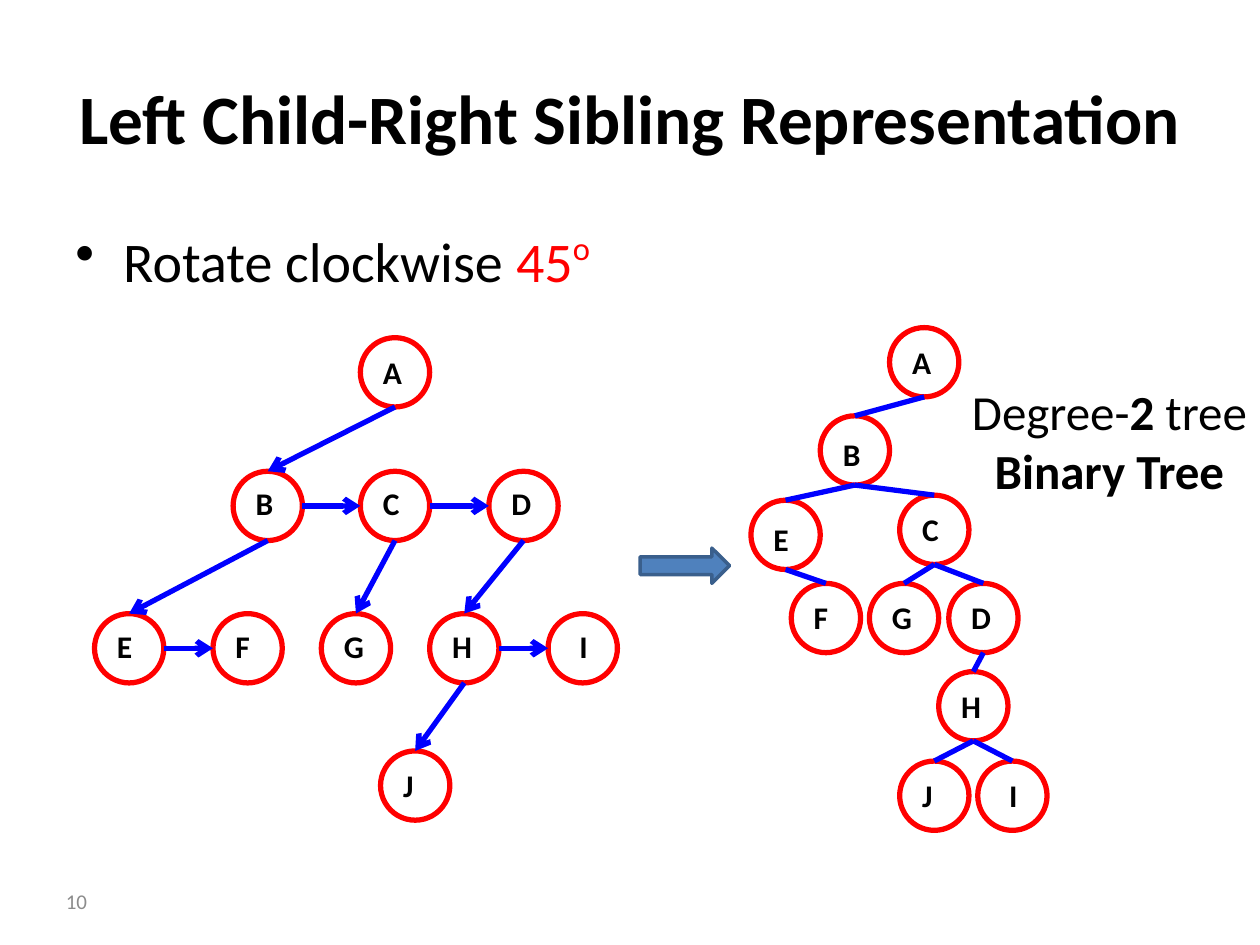
from dataclasses import dataclass

from lxml import etree
from pptx import Presentation
from pptx.dml.color import RGBColor
from pptx.enum.shapes import MSO_CONNECTOR, MSO_SHAPE
from pptx.enum.text import MSO_ANCHOR, PP_ALIGN
from pptx.oxml.ns import qn
from pptx.util import Inches, Pt

STRAIGHT = MSO_CONNECTOR.STRAIGHT
ELLIPSE, RIGHT_ARROW = MSO_SHAPE.OVAL, MSO_SHAPE.RIGHT_ARROW
TOP, MIDDLE = MSO_ANCHOR.TOP, MSO_ANCHOR.MIDDLE
LEFT, CENTER, RIGHT = PP_ALIGN.LEFT, PP_ALIGN.CENTER, PP_ALIGN.RIGHT


@dataclass(frozen=True)
class Theme:
    font: str = "Calibri"
    text: RGBColor = RGBColor(0, 0, 0)
    red: RGBColor = RGBColor(255, 0, 0)
    edge: RGBColor = RGBColor(0, 0, 255)
    arrow: RGBColor = RGBColor(0x4F, 0x81, 0xBD)
    arrow_line: RGBColor = RGBColor(0x3A, 0x5F, 0x8C)
    muted: RGBColor = RGBColor(0x8C, 0x8C, 0x8C)
    title_size: float = 39.6
    body_size: float = 32
    note_size: float = 28
    label_size: float = 18
    number_size: float = 12
    tree_line: float = 3
    arrow_width: float = 2


theme = Theme()


def add_text(shapes, box, lines, size, color=theme.text, bold=None, align=LEFT, anchor=TOP):
    frame = shapes.add_textbox(*map(Inches, box)).text_frame
    frame.word_wrap = True
    frame.vertical_anchor = anchor
    for i, line in enumerate(lines):
        paragraph = frame.paragraphs[0] if i == 0 else frame.add_paragraph()
        paragraph.alignment = align
        for text in line:
            paragraph.add_run().text = text
        paragraph.font.name = theme.font
        paragraph.font.size = Pt(size)
        paragraph.font.bold = bold
        paragraph.font.color.rgb = color
    return frame


prs = Presentation()
prs.slide_width, prs.slide_height = Inches(10), Inches(7.5)
slide = prs.slides.add_slide(prs.slide_layouts[6])

add_text(slide.shapes, (0.5, 0.3, 9, 1.25), [["Left Child-Right Sibling Representation"]],
         theme.title_size, bold=True, align=CENTER, anchor=MIDDLE)

rotation = add_text(slide.shapes, (0.5, 1.75, 9, 4.95), [[]], theme.body_size).paragraphs[0]
bullet_props = rotation._p.get_or_add_pPr()
bullet_props.set("marL", str(Inches(0.38)))
bullet_props.set("indent", str(Inches(-0.38)))
bullet = etree.Element(qn("a:buChar"), char="•")
bullet_props.insert(0, bullet)
for text, color in [("Rotate clockwise ", theme.text), ("45", theme.red), ("o", theme.red)]:
    run = rotation.add_run()
    run.text = text
    run.font.color.rgb = color
run._r.get_or_add_rPr().set("baseline", "40000")

# Each node: left, top, label rise
sibling_nodes = {
    "A": (2.86, 2.68, 0.03),
    "B": (1.85, 3.74, 0.05), "C": (2.86, 3.74, 0.05), "D": (3.88, 3.74, 0.05),
    "E": (0.75, 4.87, 0.04), "F": (1.69, 4.87, 0.04), "G": (2.55, 4.87, 0.04),
    "H": (3.41, 4.87, 0.04), "I": (4.35, 4.87, 0.04),
    "J": (3.02, 5.96, 0.03),
}
binary_nodes = {
    "A": (7.06, 2.6, 0.03), "B": (6.51, 3.3, 0), "E": (5.96, 3.97, -0.01),
    "C": (7.14, 3.93, 0.03), "F": (6.28, 4.63, 0.03), "G": (6.9, 4.63, 0.03),
    "D": (7.53, 4.63, 0.03), "H": (7.45, 5.33, 0.03),
    "J": (7.14, 6.04, 0.03), "I": (7.76, 6.04, 0.03),
}
tree_edges = ["AB", "BE", "EF", "BC", "CD", "CG", "DH", "HI", "HJ"]
node_size = 0.55
radius = node_size / 2

for nodes, directed in [(sibling_nodes, True), (binary_nodes, False)]:
    tree = slide.shapes.add_group_shape().shapes
    for x, y, rise in nodes.values():
        node = tree.add_shape(ELLIPSE, *map(Inches, (x, y, node_size, node_size)))
        node.shadow.inherit = False
        node.fill.background()
        node.line.color.rgb = theme.red
        node.line.width = Pt(theme.tree_line)
    for parent, child in tree_edges:
        x1, y1, _ = nodes[parent]
        x2, y2, _ = nodes[child]
        if y1 == y2:
            ends = (x1 + node_size, y1 + radius, x2, y2 + radius)
        else:
            ends = (x1 + radius, y1 + node_size, x2 + radius, y2)
        edge = tree.add_connector(STRAIGHT, *map(Inches, ends))
        edge.line.color.rgb = theme.edge
        edge.line.width = Pt(theme.tree_line)
        if directed:
            etree.SubElement(edge.line._get_or_add_ln(), qn("a:tailEnd"), type="arrow")
        etree.SubElement(edge._element.spPr, qn("a:effectLst"))
    for letter, (x, y, rise) in nodes.items():
        inset = 0.15 if letter == "I" else 0.08
        label = add_text(tree, (x + inset, y - rise, 0.39, 0.66), [[letter]],
                         theme.label_size, bold=True)
        label.margin_top = label.margin_bottom = Inches(0.15)

rotate_arrow = slide.shapes.add_shape(RIGHT_ARROW, *map(Inches, (5.08, 4.35, 0.71, 0.28)))
rotate_arrow.shadow.inherit = False
rotate_arrow.fill.solid()
rotate_arrow.fill.fore_color.rgb = theme.arrow
rotate_arrow.line.color.rgb = theme.arrow_line
rotate_arrow.line.width = Pt(theme.arrow_width)

degree_note = add_text(slide.shapes, (7.6, 2.98, 2.41, 1.04),
                       [["Degree-", "2 ", "tree"], ["Binary Tree"]],
                       theme.note_size, align=CENTER)
degree_note.word_wrap = False
degree_note.paragraphs[0].runs[1].font.bold = True
degree_note.paragraphs[1].font.bold = True

add_text(slide.shapes, (-1.54, 6.95, 2.33, 0.4), [["10"]], theme.number_size,
         theme.muted, align=RIGHT, anchor=MIDDLE)

prs.save("out.pptx")
